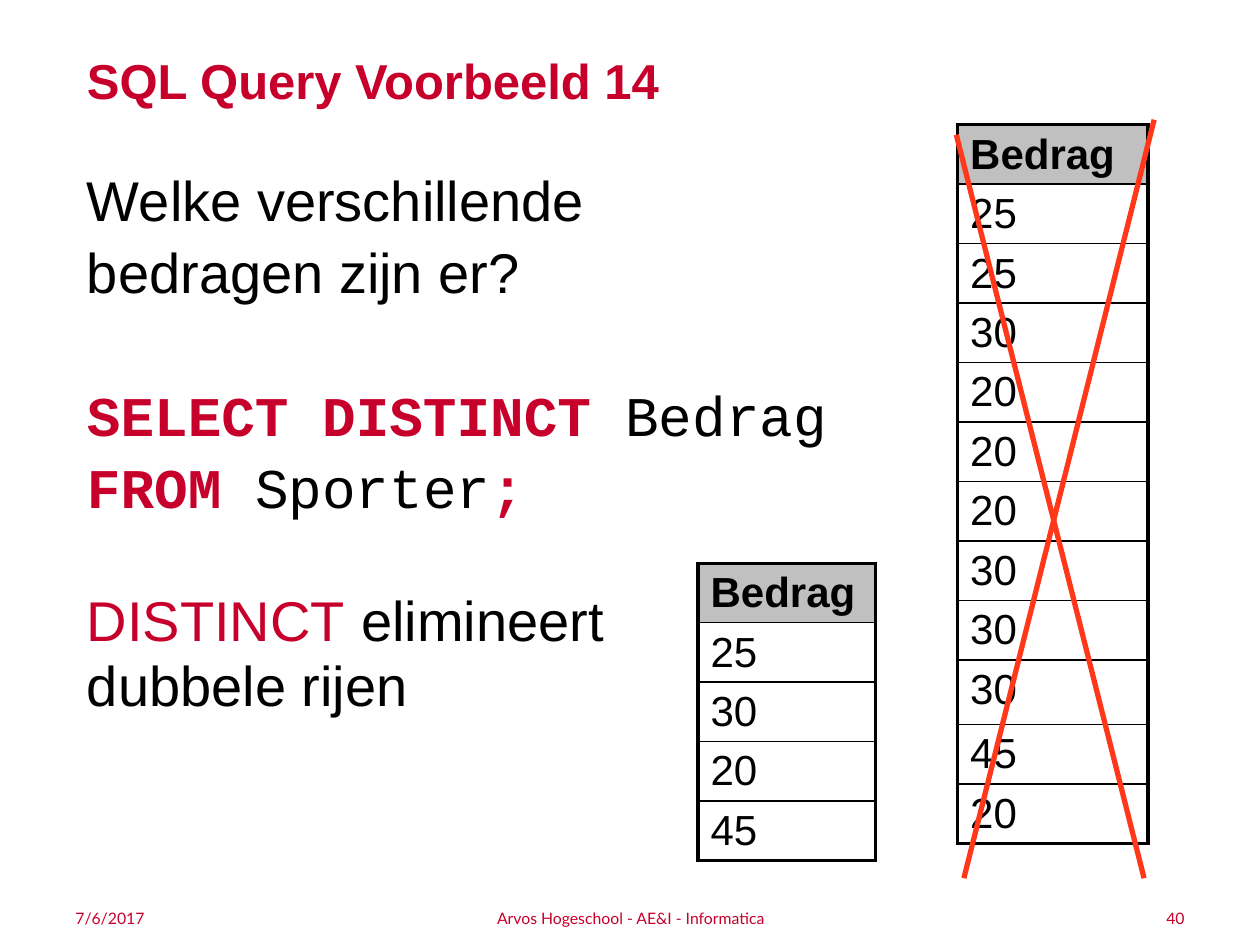
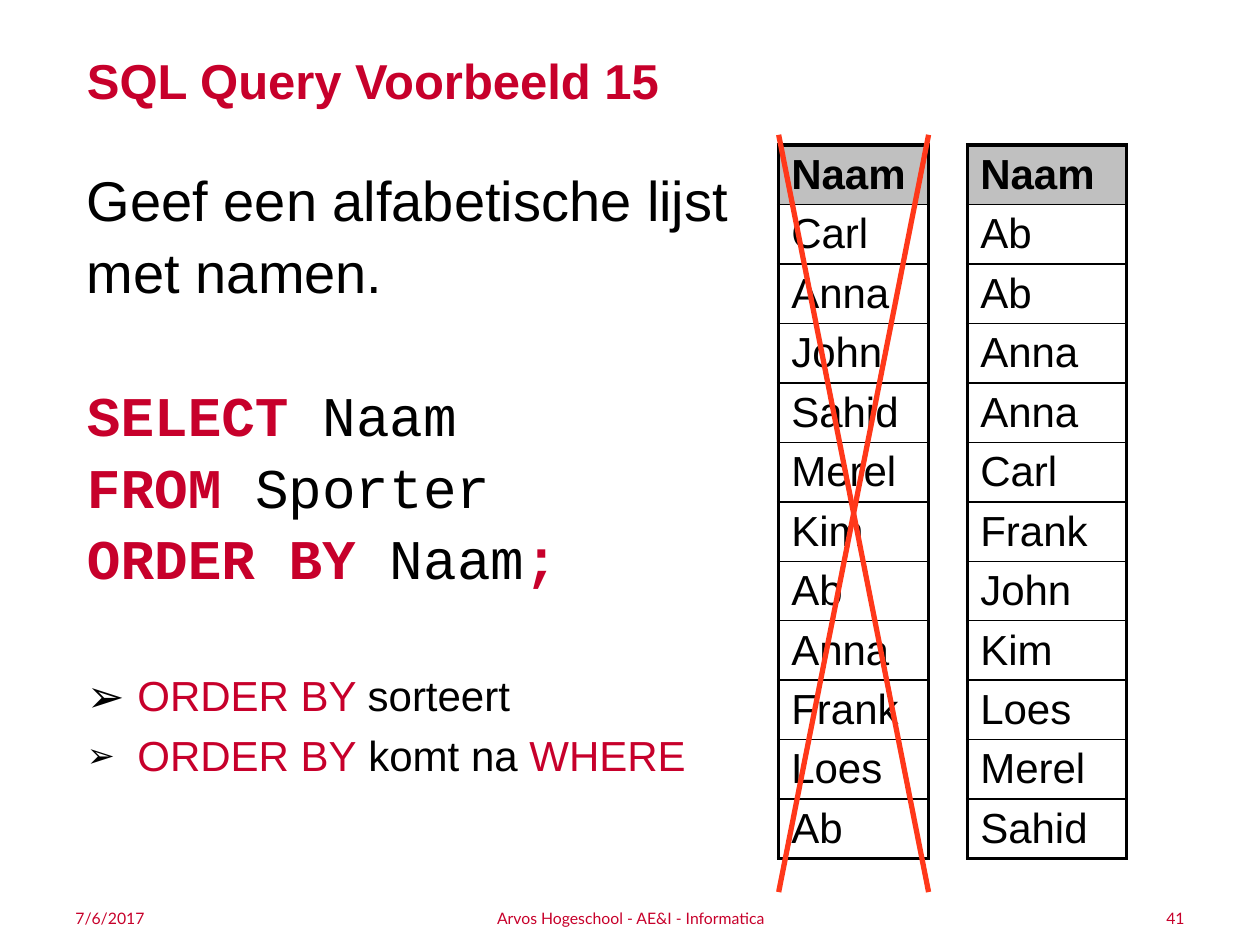
import pptx
import pptx.util
import pptx.dml.color
import pptx.enum.text
import pptx.enum.shapes
import pptx.oxml
import pptx.oxml.ns

Inches, Pt = pptx.util.Inches, pptx.util.Pt
ALIGN = pptx.enum.text.PP_ALIGN
ANCHOR = pptx.enum.text.MSO_ANCHOR

RED, BLACK, GREY, CROSS = "C7002B", "000000", "C0C0C0", "FF381A"
ROW_H = 0.47
DATE, FOOTER = "7/6/2017", "Arvos Hogeschool - AE&I - Informatica"

# Run styles
PLAIN = dict(name="Arial", size=32, color=BLACK, bold=False)
TERM = PLAIN | dict(color=RED)
CODE = PLAIN | dict(name="Courier New")
KEYWORD = CODE | dict(color=RED, bold=True)
NOTE = PLAIN | dict(size=24)
NOTE_TERM = NOTE | dict(color=RED)
TITLE = dict(name="Arial", size=28, color=RED, bold=True)
SMALL = dict(name="Lato", size=9, color=RED, bold=False)

# Paragraph styles: line spacing, space before, bullet size in percent
QUESTION = dict(line=1.08)
SQL_FIRST = dict(line=1.06, before=41)
SQL = dict(line=1.06)
REMARK = dict(line=0.97, before=40)
BULLET_FIRST = dict(line=0.97, before=47, bullet=107)
BULLET = dict(line=0.97, before=6, bullet=80)

SLIDES = [
    dict(
        title="SQL Query Voorbeeld 14", number=40, body_width=6.14,
        body=[
            (QUESTION, [("Welke verschillende\nbedragen zijn er?", PLAIN)]),
            (SQL_FIRST, [("SELECT DISTINCT ", KEYWORD), ("Bedrag", CODE)]),
            (SQL, [("FROM ", KEYWORD), ("Sporter", CODE), (";", KEYWORD)]),
            (REMARK, [("DISTINCT", TERM), (" elimineert\ndubbele rijen", PLAIN)]),
        ],
        tables=[
            dict(at=(7.6, 0.99), width=1.51, head="Bedrag", tall={9: 0.51},
                 values="25 25 30 20 20 20 30 30 30 45 20"),
            dict(at=(5.54, 4.47), width=1.41, head="Bedrag", values="25 30 20 45"),
        ],
        cross=[(9.16, 0.95, 7.65, 6.97), (7.59, 1.07, 9.08, 6.97)],
    ),
    dict(
        title="SQL Query Voorbeeld 15", number=41, body_width=5.76,
        body=[
            (QUESTION, [("Geef een alfabetische lijst\nmet namen.", PLAIN)]),
            (SQL_FIRST, [("SELECT ", KEYWORD), ("Naam", CODE)]),
            (SQL, [("FROM ", KEYWORD), ("Sporter", CODE)]),
            (SQL, [("ORDER BY ", KEYWORD), ("Naam", CODE), (";", KEYWORD)]),
            (BULLET_FIRST, [("ORDER BY ", NOTE_TERM), ("sorteert", NOTE)]),
            (BULLET, [("ORDER BY", NOTE_TERM), (" komt na ", NOTE), ("WHERE", NOTE_TERM)]),
        ],
        tables=[
            dict(at=(6.18, 1.15), width=1.19, head="Naam",
                 values="Carl Anna John Sahid Merel Kim Ab Anna Frank Loes Ab"),
            dict(at=(7.68, 1.15), width=1.26, head="Naam",
                 values="Ab Ab Anna Anna Carl Frank John Kim Loes Merel Sahid"),
        ],
        cross=[(7.37, 1.07, 6.18, 7.08), (6.18, 1.07, 7.37, 7.08)],
    ),
]


def rgb(value):
    return pptx.dml.color.RGBColor.from_string(value)


def xml(markup):
    """Parse one element whose first tag lacks the namespace declaration."""
    tag, rest = markup[:-2].partition(" ")[::2] if markup.endswith("/>") else (markup, "")
    return pptx.oxml.parse_xml(f"{tag} {pptx.oxml.ns.nsdecls('a')} {rest}/>")


def add_runs(p, text, style):
    for i, part in enumerate(text.split("\n")):
        if i:
            p.add_line_break()
        r = p.add_run()
        r.text = part
        for key in ("name", "bold"):
            setattr(r.font, key, style[key])
        r.font.size = Pt(style["size"])
        r.font.color.rgb = rgb(style["color"])


def place(sp, left, top, width, height):
    for key, value in dict(left=left, top=top, width=width, height=height).items():
        setattr(sp, key, Inches(value))


def prepare(tf, anchor):
    settings = dict(word_wrap=True, auto_size=pptx.enum.text.MSO_AUTO_SIZE.NONE,
                    vertical_anchor=anchor)
    for key, value in settings.items():
        setattr(tf, key, value)


def add_title(s, text):
    sp = s.shapes.title
    place(sp, 0.59, 0.35, 9, 0.79)
    prepare(sp.text_frame, ANCHOR.TOP)
    p = sp.text_frame.paragraphs[0]
    p.alignment = ALIGN.LEFT
    add_runs(p, text, TITLE)


def set_bullet(p, percent):
    """Give the paragraph a hanging arrow bullet, or none when percent is None."""
    pPr = p._p.get_or_add_pPr()
    indent = Inches(0.4) if percent else 0
    pPr.set("marL", str(indent))
    pPr.set("indent", str(-indent))
    if percent:
        pPr.append(xml(f'<a:buClr/>'))
        pPr[-1].append(xml(f'<a:srgbClr val="{BLACK}"/>'))
        pPr.append(xml(f'<a:buSzPct val="{percent * 1000}"/>'))
        pPr.append(xml('<a:buFont typeface="Arial"/>'))
        pPr.append(xml('<a:buChar char="➢"/>'))
    else:
        pPr.append(xml("<a:buNone/>"))


def add_body(s, paragraphs, width):
    sp = s.placeholders[1]
    place(sp, 0.59, 1.22, width, 4.6)
    tf = sp.text_frame
    prepare(tf, ANCHOR.TOP)
    for i, (style, runs) in enumerate(paragraphs):
        p = tf.add_paragraph() if i else tf.paragraphs[0]
        p.line_spacing = style["line"]
        p.space_before = Pt(style.get("before", 0))
        set_bullet(p, style.get("bullet"))
        for text, run_style in runs:
            add_runs(p, text, run_style)


def set_borders(cell, widths):
    tcPr = cell._tc.get_or_add_tcPr()
    for i, (side, width) in enumerate(widths.items()):
        ln = xml(f'<a:ln{side} w="{Pt(width)}"/>')
        fill = xml("<a:solidFill/>")
        fill.append(xml(f'<a:srgbClr val="{BLACK}"/>'))
        ln.append(fill)
        tcPr.insert(i, ln)


def add_column(s, at, width, head, values, tall=None):
    """Add a one-column table; tall maps row numbers to larger heights."""
    texts = [head] + values.split()
    last = len(texts) - 1
    heights = [(tall or {}).get(i, ROW_H) for i in range(last + 1)]
    frame = s.shapes.add_table(last + 1, 1, *map(Inches, (*at, width, sum(heights))))
    table = frame.table
    for i, text in enumerate(texts):
        table.rows[i].height = Inches(heights[i])
        cell = table.cell(i, 0)
        if i:
            cell.fill.background()
        else:
            cell.fill.solid()
            cell.fill.fore_color.rgb = rgb(GREY)
        add_runs(cell.text_frame.paragraphs[0], text, NOTE | dict(bold=i == 0))
        set_borders(cell, dict(L=2.25, R=2.25, T=1 if i else 2.25,
                               B=2.25 if i == last else 1))


def add_cross(s, strokes):
    for stroke in strokes:
        line = s.shapes.add_connector(pptx.enum.shapes.MSO_CONNECTOR.STRAIGHT,
                                      *map(Inches, stroke))
        line.line.color.rgb = rgb(CROSS)
        line.line.width = Pt(3)
        line._element.spPr.append(xml("<a:effectLst/>"))


def add_footers(s, number):
    parts = [(0.5, 2.33, DATE, ALIGN.LEFT), (7.17, 2.33, str(number), ALIGN.RIGHT),
             (3.42, 3.17, FOOTER, ALIGN.CENTER)]
    for left, width, text, align in parts:
        sp = s.shapes.add_textbox(*map(Inches, (left, 7.17, width, 0.24)))
        prepare(sp.text_frame, ANCHOR.MIDDLE)
        p = sp.text_frame.paragraphs[0]
        p.alignment = align
        add_runs(p, text, SMALL)


def main():
    prs = pptx.Presentation()
    prs.slide_width, prs.slide_height = Inches(10), Inches(7.5)
    for content in SLIDES:
        s = prs.slides.add_slide(prs.slide_layouts[1])
        add_title(s, content["title"])
        add_body(s, content["body"], content["body_width"])
        for column in content["tables"]:
            add_column(s, **column)
        add_cross(s, content["cross"])
        add_footers(s, content["number"])
    prs.save("out.pptx")


if __name__ == "__main__":
    main()
